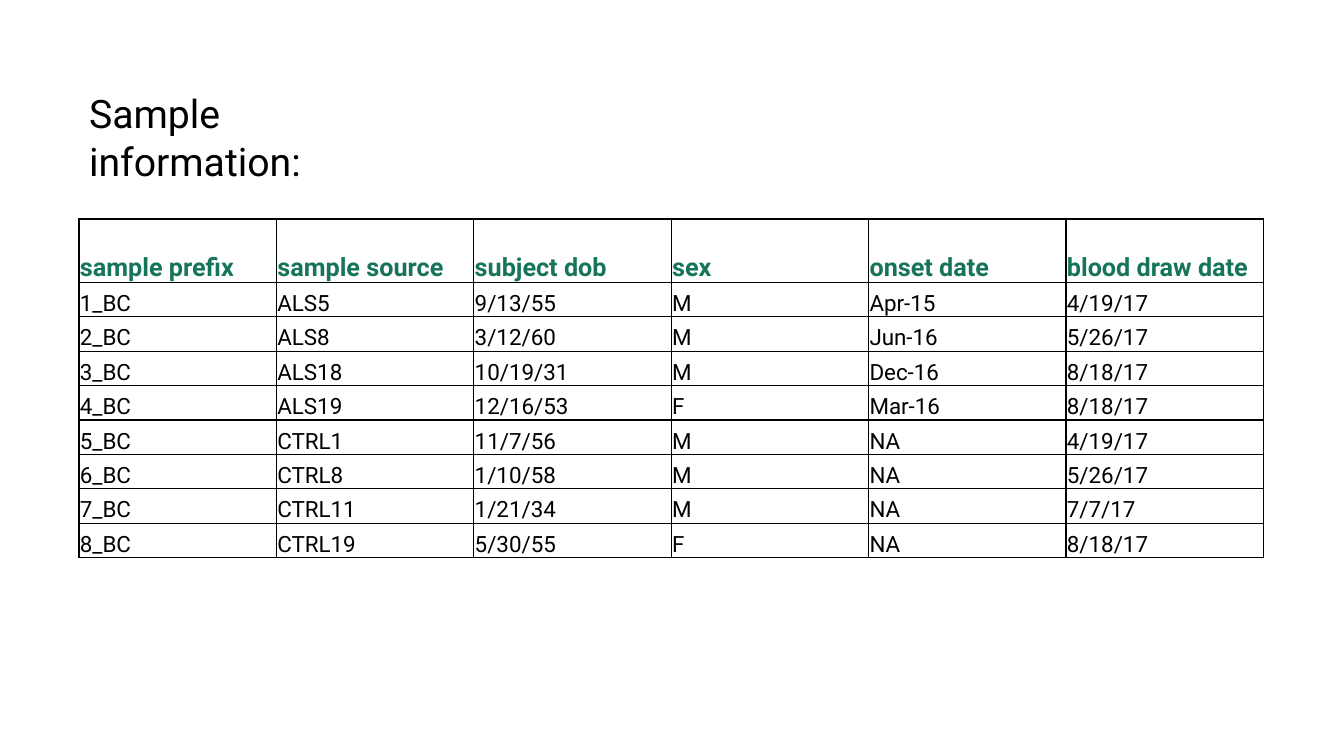
from pptx import Presentation
from pptx.dml.color import RGBColor
from pptx.enum.text import MSO_ANCHOR, MSO_AUTO_SIZE, PP_ALIGN
from pptx.oxml.ns import qn
from pptx.util import Pt
from lxml import etree

TOP, BOTTOM = MSO_ANCHOR.TOP, MSO_ANCHOR.BOTTOM
GROW = MSO_AUTO_SIZE.SHAPE_TO_FIT_TEXT
LEFT = PP_ALIGN.LEFT
TITLE_ONLY = 5

BLACK = RGBColor(0, 0, 0)
GREEN = RGBColor(0x16, 0x74, 0x5A)
FONT = "Roboto"

MARGIN = 56.4
COLUMN_WIDTH = 141
HEADER_HEIGHT = 45.3
ROW_HEIGHT = 24.6
INSET = 0.72

HEADINGS = ("sample prefix", "sample source", "subject dob", "sex",
            "onset date", "blood draw date")
SAMPLES = (
    ("1_BC", "ALS5", "9/13/55", "M", "Apr-15", "4/19/17"),
    ("2_BC", "ALS8", "3/12/60", "M", "Jun-16", "5/26/17"),
    ("3_BC", "ALS18", "10/19/31", "M", "Dec-16", "8/18/17"),
    ("4_BC", "ALS19", "12/16/53", "F", "Mar-16", "8/18/17"),
    ("5_BC", "CTRL1", "11/7/56", "M", "NA", "4/19/17"),
    ("6_BC", "CTRL8", "1/10/58", "M", "NA", "5/26/17"),
    ("7_BC", "CTRL11", "1/21/34", "M", "NA", "7/7/17"),
    ("8_BC", "CTRL19", "5/30/55", "F", "NA", "8/18/17"),
)


def style_font(font, size, color, bold=False):
    font.name = FONT
    font.size = Pt(size)
    font.bold = bold
    font.color.rgb = color


def add_title(page, text):
    title = page.shapes.title
    title.left, title.top = Pt(MARGIN), Pt(60.5)
    title.width, title.height = Pt(262.8), Pt(41)
    frame = title.text_frame
    frame.word_wrap = True
    frame.auto_size = GROW
    frame.vertical_anchor = TOP
    frame.text = text
    para = frame.paragraphs[0]
    para.alignment = LEFT
    style_font(para.font, 28, BLACK)


def add_borders(cell):
    properties = cell._tc.get_or_add_tcPr()
    for position, side in enumerate(("a:lnL", "a:lnR", "a:lnT", "a:lnB")):
        line = etree.Element(qn(side), w=str(Pt(1)))
        fill = etree.SubElement(line, qn("a:solidFill"))
        etree.SubElement(fill, qn("a:srgbClr"), val=str(BLACK))
        properties.insert(position, line)


def fill_cell(cell, text, size, color, bold):
    cell.text = text
    cell.vertical_anchor = BOTTOM
    cell.margin_left = cell.margin_right = cell.margin_top = Pt(INSET)
    cell.margin_bottom = 0
    cell.fill.background()
    style_font(cell.text_frame.paragraphs[0].font, size, color, bold)
    add_borders(cell)


def add_sample_table(page):
    rows = (HEADINGS,) + SAMPLES
    width = COLUMN_WIDTH * len(HEADINGS)
    height = HEADER_HEIGHT + ROW_HEIGHT * len(SAMPLES)
    table = page.shapes.add_table(len(rows), len(HEADINGS), Pt(MARGIN), Pt(156.4),
                                  Pt(width), Pt(height)).table
    table.horz_banding = False
    for column in table.columns:
        column.width = Pt(COLUMN_WIDTH)
    for index, values in enumerate(rows):
        header = index == 0
        table.rows[index].height = Pt(HEADER_HEIGHT if header else ROW_HEIGHT)
        size, color = (18, GREEN) if header else (16, BLACK)
        for column, text in enumerate(values):
            fill_cell(table.cell(index, column), text, size, color, header)


def main():
    deck = Presentation()
    deck.slide_width, deck.slide_height = Pt(960), Pt(540)
    page = deck.slides.add_slide(deck.slide_layouts[TITLE_ONLY])
    add_title(page, "Sample information:")
    add_sample_table(page)
    deck.save("out.pptx")


if __name__ == "__main__":
    main()
